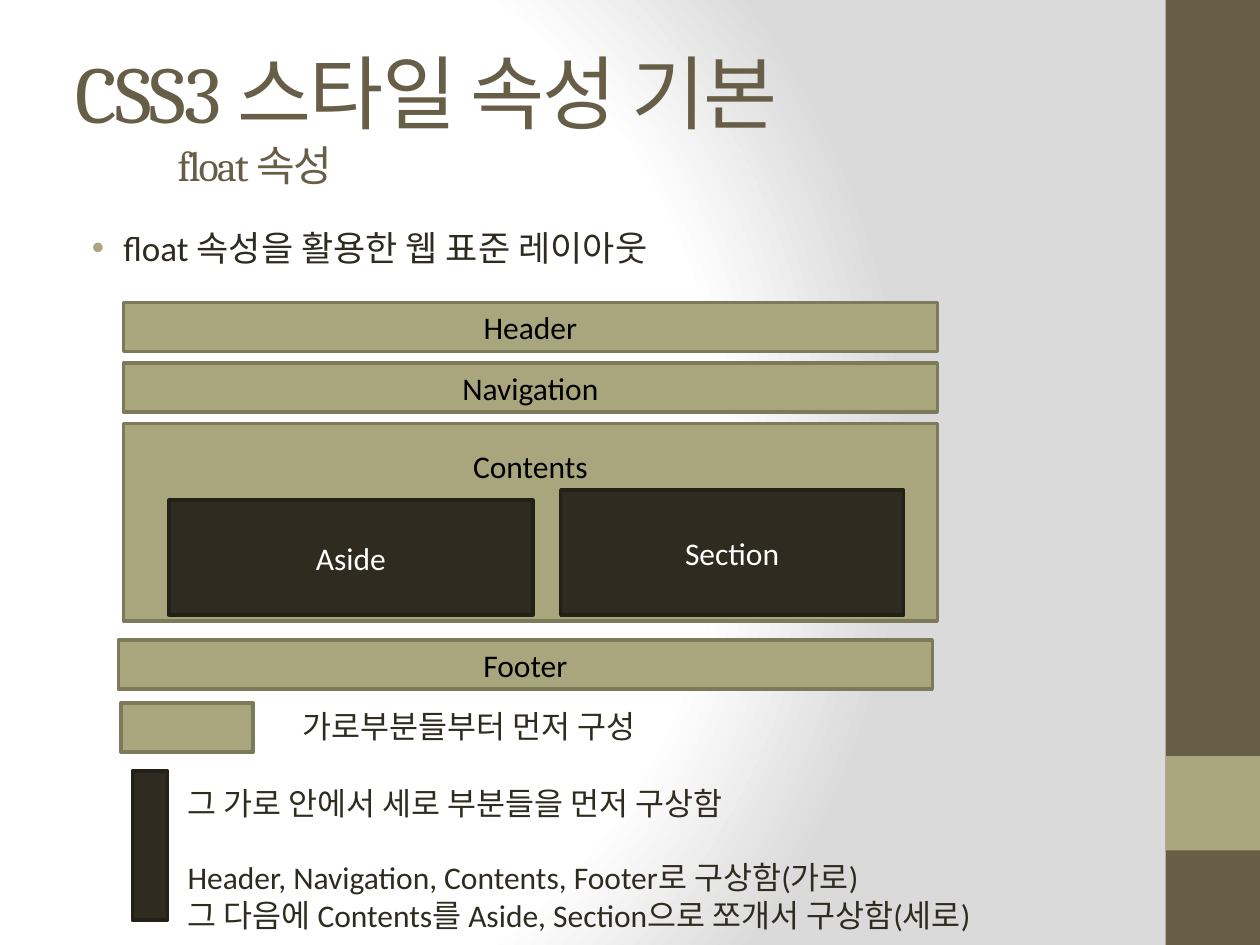
from lxml.etree import SubElement
from pptx import Presentation
from pptx.dml.color import RGBColor
from pptx.enum.shapes import MSO_SHAPE as Shape
from pptx.enum.text import MSO_ANCHOR as Anchor, MSO_AUTO_SIZE as AutoSize, PP_ALIGN as Align
from pptx.oxml import parse_xml
from pptx.oxml.ns import nsdecls, qn
from pptx.util import Inches, Pt

BROWN = RGBColor(0x67, 0x5E, 0x47)
OLIVE = RGBColor(0xA9, 0xA5, 0x7C)
OLIVE_EDGE = RGBColor(0x7D, 0x7A, 0x5C)
DARK = RGBColor(0x2F, 0x2B, 0x20)
DARK_EDGE = RGBColor(0x23, 0x20, 0x18)
BLACK = RGBColor(0, 0, 0)
WHITE = RGBColor(255, 255, 255)

HORIZONTAL = {"fill": OLIVE, "edge": OLIVE_EDGE, "text": BLACK}
VERTICAL = {"fill": DARK, "edge": DARK_EDGE, "text": WHITE}

BAR_LEFT, BAR_WIDTH, BAR_HEIGHT = 0.98, 6.46, 0.39
BAR_TOP, BAR_STEP = 2.4, 0.48
COLUMN_BOTTOM = 4.88

BACKGROUND = f"""
<p:bg {nsdecls('p', 'a')}><p:bgPr>
  <a:gradFill rotWithShape="1">
    <a:gsLst>
      <a:gs pos="0"><a:srgbClr val="FFFFFF"/></a:gs>
      <a:gs pos="75000"><a:srgbClr val="FFFFFF"/></a:gs>
      <a:gs pos="100000"><a:srgbClr val="DADADA"/></a:gs>
    </a:gsLst>
    <a:path path="circle"><a:fillToRect l="20000" t="50000" r="100000" b="50000"/></a:path>
  </a:gradFill><a:effectLst/>
</p:bgPr></p:bg>"""


def place(shape, left, top, width, height):
    box = {"left": left, "top": top, "width": width, "height": height}
    for side, length in box.items():
        setattr(shape, side, Inches(length))


def add_run(paragraph, text, size, color, name="Calibri"):
    run = paragraph.add_run()
    run.text = text
    for key, value in {"size": Pt(size), "name": name}.items():
        setattr(run.font, key, value)
    run.font.color.rgb = color
    return run


def add_block(slide, left, top, width, height, fill, edge=None):
    block = slide.shapes.add_shape(
        Shape.RECTANGLE, Inches(left), Inches(top), Inches(width), Inches(height))
    block.shadow.inherit = False
    block.fill.solid()
    block.fill.fore_color.rgb = fill
    if edge is None:
        block.line.fill.background()
    else:
        block.line.color.rgb = edge
        block.line.width = Pt(2)
    return block


def add_region(slide, style, left, top, width, height, label=""):
    """Add one region of the page layout, labelled in its middle."""
    region = add_block(slide, left, top, width, height, style["fill"], style["edge"])
    if label:
        region.text_frame.vertical_anchor = Anchor.MIDDLE
        paragraph = region.text_frame.paragraphs[0]
        paragraph.alignment = Align.CENTER
        add_run(paragraph, label, 18, style["text"])
    return region


def add_note(slide, left, top, width, height, *lines):
    note = slide.shapes.add_textbox(
        Inches(left), Inches(top), Inches(width), Inches(height))
    frame = note.text_frame
    frame.word_wrap = False
    frame.auto_size = AutoSize.SHAPE_TO_FIT_TEXT
    for index, line in enumerate(lines):
        paragraph = frame.add_paragraph() if index else frame.paragraphs[0]
        add_run(paragraph, line, 18, DARK)


def fill_title(title):
    place(title, 0.5, 0.3, 8.33, 1.25)
    frame = title.text_frame
    frame.auto_size = AutoSize.NONE
    frame.vertical_anchor = Anchor.MIDDLE
    heading, subheading = frame.paragraphs[0], frame.add_paragraph()
    subheading._p.get_or_add_pPr().set("marL", str(Inches(0.81)))
    for paragraph, text, size in (
            (heading, "CSS3 스타일 속성 기본", 46), (subheading, "float 속성", 24)):
        paragraph.alignment = Align.LEFT
        run = add_run(paragraph, text, size, BROWN, "Cambria")
        run.font._element.set("spc", "-100")


def fill_body(body):
    place(body, 0.5, 1.75, 8.83, 5.25)
    body.text_frame.auto_size = AutoSize.NONE
    paragraph = body.text_frame.paragraphs[0]
    paragraph.space_before = Pt(0)
    properties = paragraph._p.get_or_add_pPr()
    properties.set("marL", str(Inches(0.38)))
    properties.set("indent", str(Inches(-0.25)))
    bullet_color = SubElement(properties, qn("a:buClr"))
    SubElement(bullet_color, qn("a:srgbClr"), val=str(OLIVE))
    SubElement(properties, qn("a:buChar"), char="•")
    add_run(paragraph, "float 속성을 활용한 웹 표준 레이아웃", 20, DARK)


def add_page_layout(slide):
    for index, label in enumerate(("Header", "Navigation")):
        add_region(slide, HORIZONTAL, BAR_LEFT, BAR_TOP + index * BAR_STEP,
                   BAR_WIDTH, BAR_HEIGHT, label)
    contents = add_region(slide, HORIZONTAL, BAR_LEFT, BAR_TOP + 2 * BAR_STEP,
                          BAR_WIDTH, 1.57, "Contents")
    contents.text_frame.vertical_anchor = Anchor.TOP
    contents.text_frame.margin_top = Inches(0.19)
    add_region(slide, HORIZONTAL, 0.94, 5.08, BAR_WIDTH, BAR_HEIGHT, "Footer")
    for label, left, width, height in (("Aside", 1.34, 2.89, 0.91),
                                       ("Section", 4.45, 2.72, 0.99)):
        add_region(slide, VERTICAL, left, COLUMN_BOTTOM - height, width, height, label)


def add_legend(slide):
    add_region(slide, HORIZONTAL, 0.96, 5.58, 1.05, BAR_HEIGHT)
    add_region(slide, VERTICAL, 1.05, 6.12, 0.28, 1.18)
    add_note(slide, 2.3, 5.56, 3.16, 0.4, "가로부분들부터 먼저 구성")
    add_note(slide, 1.39, 6.17, 5.03, 0.4, "그 가로 안에서 세로 부분들을 먼저 구상함")
    add_note(slide, 1.39, 6.76, 7.21, 0.71,
             "Header, Navigation, Contents, Footer로 구상함(가로)",
             "그 다음에 Contents를 Aside, Section으로 쪼개서 구상함(세로)")


def main():
    deck = Presentation()
    deck.slide_width, deck.slide_height = Inches(10), Inches(7.5)
    slide = deck.slides.add_slide(deck.slide_layouts[1])
    slide.element.cSld.insert(0, parse_xml(BACKGROUND))
    add_block(slide, 9.25, 0, 0.75, 7.5, BROWN)
    add_block(slide, 9.25, 6, 0.75, 0.75, OLIVE)
    fill_title(slide.shapes.title)
    fill_body(slide.placeholders[1])
    add_page_layout(slide)
    add_legend(slide)
    deck.save("out.pptx")


if __name__ == "__main__":
    main()
